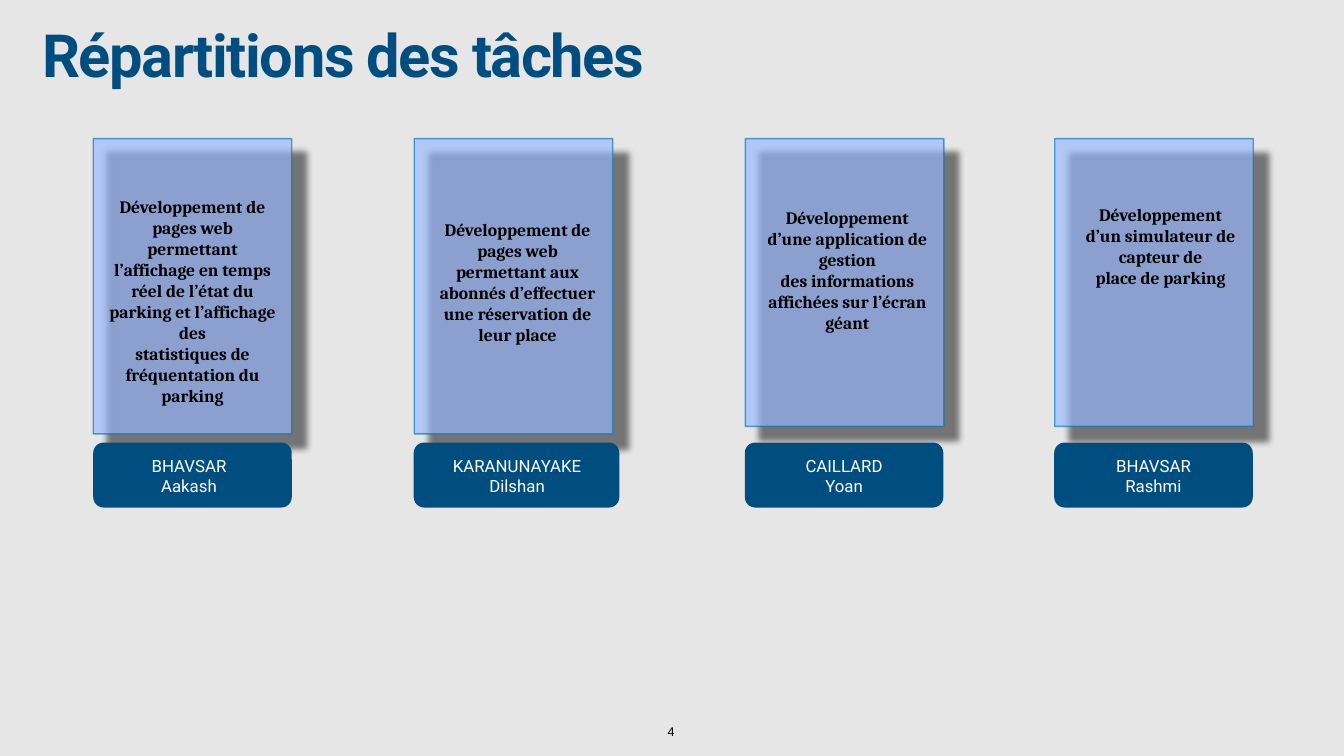
from dataclasses import dataclass

from lxml import etree
from pptx import Presentation
from pptx.dml.color import RGBColor
from pptx.enum.shapes import MSO_SHAPE
from pptx.enum.text import MSO_ANCHOR, MSO_AUTO_SIZE, PP_ALIGN
from pptx.oxml import parse_xml
from pptx.oxml.ns import nsdecls, qn
from pptx.util import Emu, Pt

RECT, ROUND = MSO_SHAPE.RECTANGLE, MSO_SHAPE.ROUNDED_RECTANGLE
TOP, MIDDLE, BOTTOM = MSO_ANCHOR.TOP, MSO_ANCHOR.MIDDLE, MSO_ANCHOR.BOTTOM
LEFT, CENTER = PP_ALIGN.LEFT, PP_ALIGN.CENTER
FIT, FIXED = MSO_AUTO_SIZE.SHAPE_TO_FIT_TEXT, MSO_AUTO_SIZE.NONE

NAVY = RGBColor(0x00, 0x4D, 0x80)
BLUE = RGBColor(0x00, 0x76, 0xBA)
PALE = RGBColor(0x98, 0xB7, 0xFE)
GREY = RGBColor(0xE6, 0xE6, 0xE6)
BLACK = RGBColor(0x00, 0x00, 0x00)
WHITE = RGBColor(0xFF, 0xFF, 0xFF)

PX = 9144
Box = tuple[int, int, int, int]


@dataclass
class Task:
    card: Box
    plate: Box
    body: Box
    label: Box
    text: list[str]
    name: list[str]
    drop: int


TASKS = [
    Task((185, 275, 394, 586), (185, 878, 394, 129),
         (203, 356, 358, 483), (247, 892, 256, 103),
         ["Développement de pages web permettant",
          "l’affichage en temps réel de l’état du parking et l’affichage des",
          "statistiques de fréquentation du parking"],
         ["BHAVSAR Aakash"], 28),
    Task((822, 275, 394, 586), (821, 878, 408, 129),
         (852, 412, 350, 294), (842, 892, 368, 103),
         ["Développement de pages web permettant aux",
          "abonnés d’effectuer une réservation de leur place"],
         ["KARANUNAYAKE Dilshan"], 30),
    Task((1479, 275, 394, 571), (1478, 878, 394, 129),
         (1510, 389, 343, 294), (1547, 892, 256, 103),
         ["Développement d’une application de gestion",
          "des informations affichées sur l’écran géant"],
         ["CAILLARD", "Yoan"], 28),
    Task((2093, 275, 394, 571), (2092, 878, 394, 129),
         (2139, 389, 328, 200), (2161, 892, 256, 103),
         ["Développement d’un simulateur de capteur de",
          "place de parking"],
         ["BHAVSAR Rashmi"], 30),
]


def scale(box: Box) -> list[Emu]:
    return [Emu(n * PX) for n in box]


def write(shape, lines: list[str], *, font: str, size: int, color: RGBColor,
          bold: bool = False, align=CENTER, anchor=MIDDLE, fit=FIT,
          wrap: bool = True, space: float = 1.0, track: int = 0) -> None:
    frame = shape.text_frame
    frame.word_wrap = wrap
    frame.auto_size = fit
    frame.vertical_anchor = anchor
    frame.margin_left = frame.margin_right = Emu(6 * PX)
    frame.margin_top = frame.margin_bottom = Emu(6 * PX)
    for i, line in enumerate(lines):
        para = frame.paragraphs[0] if i == 0 else frame.add_paragraph()
        para.alignment = align
        para.line_spacing = space
        run = para.add_run()
        run.text = line
        run.font.name = font
        run.font.size = Pt(size)
        run.font.bold = bold
        run.font.color.rgb = color
        if track:
            run.font._element.set("spc", str(track * 100))


def fade(shape, alpha: int) -> None:
    for node in shape._element.spPr.iter(qn("a:srgbClr")):
        etree.SubElement(node, qn("a:alpha")).set("val", str(alpha * 1000))


def shade(shape, drop: int) -> None:
    props = shape._element.spPr
    props.remove(props.find(qn("a:effectLst")))
    props.append(parse_xml(
        f'<a:effectLst {nsdecls("a")}>'
        f'<a:outerShdw blurRad="{Pt(10)}" dist="{Pt(drop)}" dir="2700000" '
        'algn="tl" rotWithShape="0"><a:srgbClr val="000000">'
        '<a:alpha val="75000"/></a:srgbClr></a:outerShdw></a:effectLst>'))


def block(slide, kind, box: Box, fill: RGBColor):
    shape = slide.shapes.add_shape(kind, *scale(box))
    shape.shadow.inherit = False
    shape.fill.solid()
    shape.fill.fore_color.rgb = fill
    shape.line.fill.background()
    return shape


def draw_card(slide, task: Task) -> None:
    card = block(slide, RECT, task.card, PALE)
    card.line.color.rgb = BLUE
    card.line.width = Pt(2)
    fade(card, 66)
    shade(card, task.drop)


def draw_plate(slide, task: Task) -> None:
    plate = block(slide, ROUND, task.plate, NAVY)
    plate.adjustments[0] = 0.16


def draw_text(slide, task: Task) -> None:
    body = slide.shapes.add_textbox(*scale(task.body))
    write(body, task.text, font="Cambria", size=25, color=BLACK, bold=True)
    label = slide.shapes.add_textbox(*scale(task.label))
    write(label, task.name, font="Roboto", size=24, color=WHITE)


def main() -> None:
    deck = Presentation()
    deck.slide_width, deck.slide_height = Emu(2667 * PX), Emu(1500 * PX)
    slide = deck.slides.add_slide(deck.slide_layouts[5])
    slide.background.fill.solid()
    slide.background.fill.fore_color.rgb = GREY

    title = slide.shapes.title
    title.left, title.top, title.width, title.height = scale((78, 58, 2403, 157))
    write(title, ["Répartitions des tâches"], font="Roboto", size=85,
          color=NAVY, bold=True, align=LEFT, anchor=TOP, fit=FIXED,
          space=0.8, track=-2)

    for draw in (draw_card, draw_plate, draw_text):
        for task in TASKS:
            draw(slide, task)

    number = slide.shapes.add_textbox(*scale((1319, 1431, 26, 41)))
    write(number, ["4"], font="Arial", size=18, color=BLACK,
          anchor=BOTTOM, wrap=False)
    deck.save("out.pptx")


if __name__ == "__main__":
    main()
